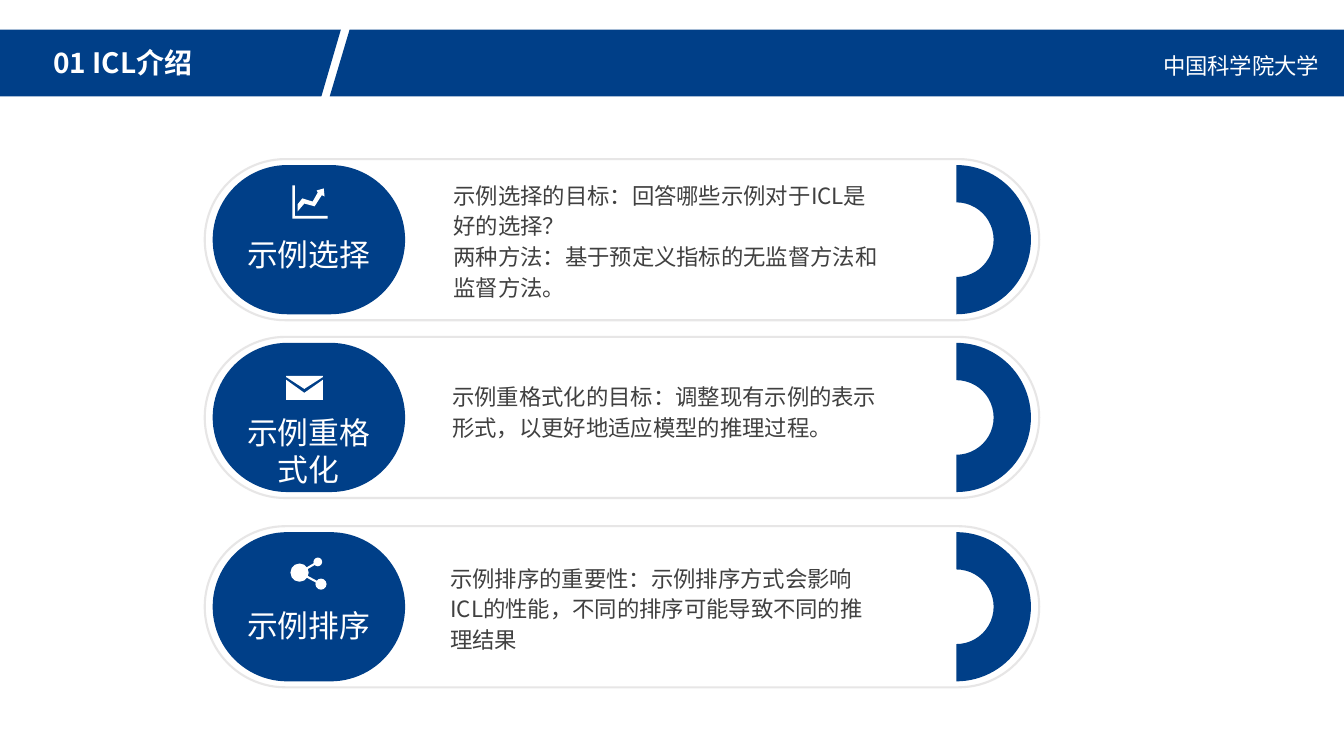
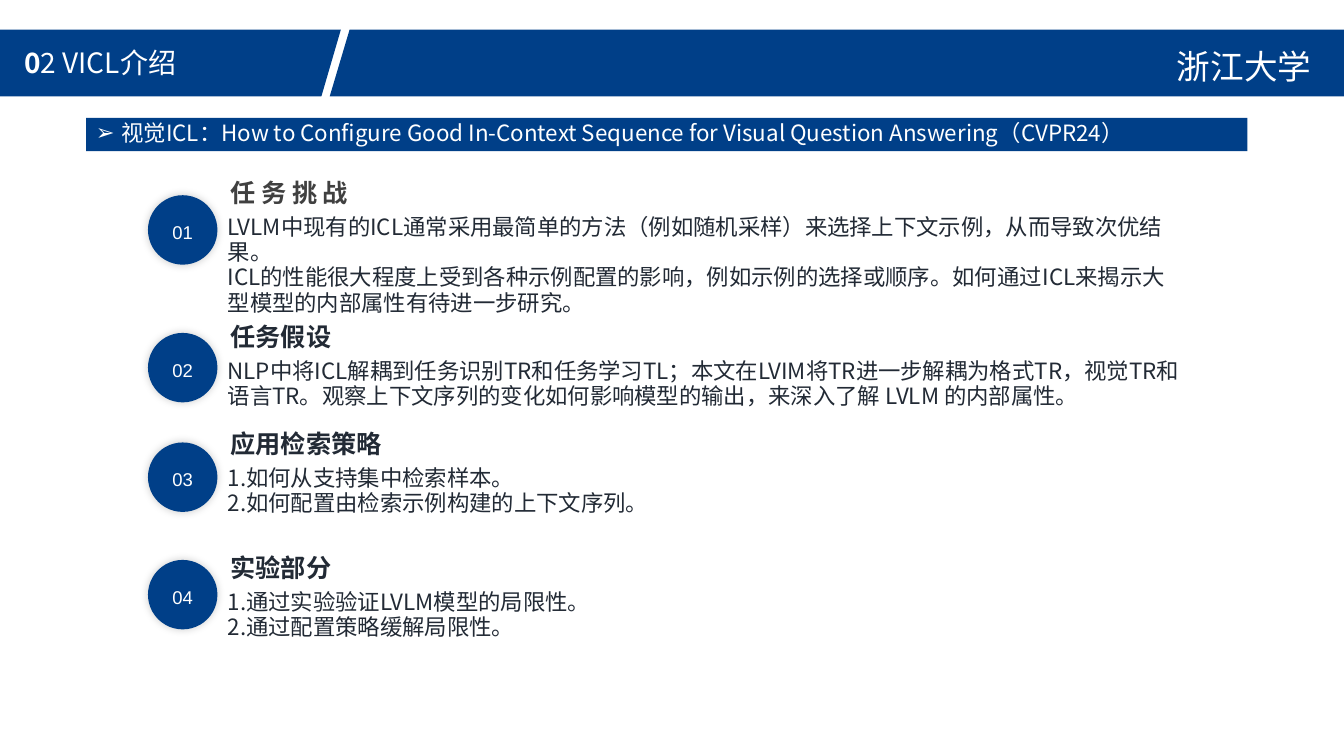
"""Builds two slides on in-context learning (ICL) and visual ICL."""
import lxml.etree
import pptx
import pptx.dml.color
import pptx.enum.shapes
import pptx.enum.text
import pptx.oxml.ns
import pptx.util

Cm = pptx.util.Cm
Pt = pptx.util.Pt
PRESET = pptx.enum.shapes.MSO_SHAPE
ANCHOR = pptx.enum.text.MSO_ANCHOR
CENTER = pptx.enum.text.PP_ALIGN.CENTER

COLORS = {"blue": "003F88", "white": "FFFFFF", "outline": "E7E6E6",
          "gray": "404040", "ink": "222A35", "shadow": "000000"}
FONT = "Noto Sans CJK SC"
SLIDE_WIDTH, SLIDE_HEIGHT = 33.87, 19.05
BAND_TOP, BAND_BOTTOM = 0.75, 2.43
UNITS_PER_CM = 100

CHART_ICON = [
    [(0, 0), (0.06, 0), (0.06, 0.77), (0.89, 0.77), (0.89, 0.84), (0, 0.84)],
    [(0.79, 0.08), (0.81, 0.28), (0.74, 0.25), (0.56, 0.53), (0.3, 0.46),
     (0.13, 0.66), (0.13, 0.48), (0.25, 0.33), (0.51, 0.41), (0.64, 0.18),
     (0.61, 0.13)],
]
ENVELOPE_ICON = [
    [(0, 0.1), (0.46, 0.43), (0.93, 0.1), (0.93, 0.61), (0, 0.61)],
    [(0, 0), (0.93, 0), (0.93, 0.03), (0.46, 0.33), (0, 0.03)],
]
SHARE_NODES = [(0.23, 0.38, 0.23), (0.69, 0.11, 0.11), (0.77, 0.67, 0.14)]

STEPS = [
    (6.04, "示例选择", 5.94, 11.43, 4.48,
     ["示例选择的目标：回答哪些示例对于ICL是好的选择？",
      "两种方法：基于预定义指标的无监督方法和监督方法。"]),
    (10.52, "示例重格式化", 10.43, 11.4, 9.56,
     ["示例重格式化的目标：调整现有示例的表示形式，以更好地适应模型的推理过程。"]),
    (15.29, "示例排序", 15.29, 11.35, 14.13,
     ["示例排序的重要性：示例排序方式会影响ICL的性能，不同的排序可能导致不同的推理结果"]),
]

SECTIONS = [
    (4.92, 4.34, "任务挑战", {"color": "gray", "spacing": 4}, 24.51,
     ["LVLM中现有的ICL通常采用最简单的方法（例如随机采样）来选择上下文示例，从而导致次优结果。",
      "ICL的性能很大程度上受到各种示例配置的影响，例如示例的选择或顺序。"
      "如何通过ICL来揭示大型模型的内部属性有待进一步研究。"]),
    (8.39, 7.97, "任务假设", {"color": "ink"}, 24.51,
     ["NLP中将ICL解耦到任务识别TR和任务学习TL；本文在LVIM将TR进一步解耦为格式TR，"
      "视觉TR和语言TR。观察上下文序列的变化如何影响模型的输出，来深入了解 LVLM 的内部属性。"]),
    (11.15, 10.67, "应用检索策略", {"color": "ink"}, 12.24,
     ["1.如何从支持集中检索样本。", "2.如何配置由检索示例构建的上下文序列。"]),
    (14.11, 13.79, "实验部分", {"color": "ink"}, 12.24,
     ["1.通过实验验证LVLM模型的局限性。", "2.通过配置策略缓解局限性。"]),
]


def rgb(color):
    return pptx.dml.color.RGBColor.from_string(COLORS[color])


def add_child(parent, tag, **attributes):
    child = lxml.etree.SubElement(parent, pptx.oxml.ns.qn(tag))
    for name, value in attributes.items():
        child.set(name, str(value))
    return child


def paint(shape, fill=None, outline=None):
    shape.shadow.inherit = False
    if fill:
        shape.fill.solid()
        shape.fill.fore_color.rgb = rgb(fill)
    else:
        shape.fill.background()
    if outline:
        shape.line.color.rgb = rgb(outline)
        shape.line.width = Pt(1.5)
    else:
        shape.line.fill.background()
    return shape


def add_preset(slide, preset, left, top, width, height, **colors):
    shape = slide.shapes.add_shape(preset, Cm(left), Cm(top), Cm(width), Cm(height))
    return paint(shape, **colors)


def add_outline(slide, contours, fill, left=0, top=0):
    moved = [[(round((left + x) * UNITS_PER_CM), round((top + y) * UNITS_PER_CM))
              for x, y in contour] for contour in contours]
    builder = slide.shapes.build_freeform(*moved[0][0], scale=Cm(1) / UNITS_PER_CM)
    for index, contour in enumerate(moved):
        if index:
            builder.move_to(*contour[0])
        builder.add_line_segments(contour[1:], close=True)
    return paint(builder.convert_to_shape(), fill=fill)


def add_run(paragraph, text, size, color, font=FONT, bold=False, spacing=0):
    run = paragraph.add_run()
    run.text = text
    run.font.size = Pt(size)
    run.font.name = font
    run.font.bold = bold
    run.font.color.rgb = rgb(color)
    properties = run._r.get_or_add_rPr()
    add_child(properties, "a:ea", typeface=font)
    if spacing:
        properties.set("spc", str(spacing * 100))


def remove_insets(frame):
    frame.margin_left = frame.margin_right = 0
    frame.margin_top = frame.margin_bottom = 0


def add_text(slide, left, top, width, height, paragraphs, line=None,
             align=None, inset=True):
    frame = slide.shapes.add_textbox(Cm(left), Cm(top), Cm(width), Cm(height)).text_frame
    frame.word_wrap = True
    if not inset:
        remove_insets(frame)
    for index, runs in enumerate(paragraphs):
        paragraph = frame.add_paragraph() if index else frame.paragraphs[0]
        paragraph.alignment = align
        if line:
            paragraph.line_spacing = Pt(line)
        for text, style in runs:
            add_run(paragraph, text, **style)


def add_header(slide, title_left, title_runs, school_box, school, school_style):
    add_outline(slide, [[(0, BAND_TOP), (8.59, BAND_TOP), (8.1, BAND_BOTTOM),
                         (0, BAND_BOTTOM)]], "blue")
    add_outline(slide, [[(8.81, BAND_TOP), (SLIDE_WIDTH, BAND_TOP),
                         (SLIDE_WIDTH, BAND_BOTTOM), (8.31, BAND_BOTTOM)]], "blue")
    runs = [(text, {"size": 20, "color": "white", "bold": bold})
            for text, bold in title_runs]
    add_text(slide, title_left, 1.02, 7.2, 1.12, [runs])
    add_text(slide, *school_box, [[(school, {"color": "white", **school_style})]])


def add_step(slide, middle, label, label_top, body_left, body_top, body):
    pill = add_preset(slide, PRESET.ROUNDED_RECTANGLE, 5.16, middle - 2.03,
                      21.03, 4.06, outline="outline")
    badge = add_preset(slide, PRESET.ROUNDED_RECTANGLE, 5.36, middle - 1.88,
                       4.85, 3.76, fill="blue")
    pill.adjustments[0] = badge.adjustments[0] = 0.5
    arc = add_preset(slide, PRESET.BLOCK_ARC, 22.22, middle - 1.88, 3.76, 3.76, fill="blue")
    arc.rotation = 90
    add_text(slide, 6.08, label_top, 3.4, 0.94,
             [[(label, {"size": 22, "color": "white"})]], align=CENTER, inset=False)
    add_text(slide, body_left, body_top, 10.8, 1.56 * len(body),
             [[(text, {"size": 16, "color": "gray"})] for text in body],
             line=22, inset=False)


def add_share_icon(slide, left, top):
    hub_x, hub_y, _ = SHARE_NODES[0]
    for x, y, radius in SHARE_NODES:
        add_preset(slide, PRESET.OVAL, left + x - radius, top + y - radius,
                   2 * radius, 2 * radius, fill="white")
    for x, y, _ in SHARE_NODES[1:]:
        link = slide.shapes.add_connector(
            pptx.enum.shapes.MSO_CONNECTOR.STRAIGHT, Cm(left + hub_x),
            Cm(top + hub_y), Cm(left + x), Cm(top + y))
        link.line.color.rgb = rgb("white")
        link.line.width = Pt(1.5)
        add_child(link._element.spPr, "a:effectLst")


def add_number(slide, top, number):
    disc = add_preset(slide, PRESET.OVAL, 3.73, top, 1.75, 1.75, fill="blue")
    effects = disc._element.spPr.find(pptx.oxml.ns.qn("a:effectLst"))
    shadow = add_child(effects, "a:outerShdw", blurRad=Pt(6), dist=0,
                       dir=315 * 60000, algn="ctr", rotWithShape=0)
    tint = add_child(shadow, "a:srgbClr", val=COLORS["shadow"])
    add_child(tint, "a:alpha", val=20000)
    frame = disc.text_frame
    remove_insets(frame)
    frame.vertical_anchor = ANCHOR.MIDDLE
    paragraph = frame.paragraphs[0]
    paragraph.alignment = CENTER
    paragraph.line_spacing = 1.2
    add_run(paragraph, f"{number:02d}", 13.2, "white", font="Arial")


def add_section(slide, number, disc_top, heading_top, heading, style, width, body):
    add_number(slide, disc_top, number)
    add_text(slide, 5.49, heading_top + 0.95, width, 1.52,
             [[(text, {"size": 16, "color": "ink"})] for text in body], line=18)
    add_text(slide, 5.56, heading_top, 5.08, 1.02,
             [[(heading, {"size": 18, "bold": True, **style})]])


def add_topic_strip(slide, topic):
    strip = add_preset(slide, PRESET.RECTANGLE, 2.17, 2.97, 29.27, 0.84, fill="blue")
    strip.text_frame.word_wrap = True
    strip.text_frame.vertical_anchor = ANCHOR.MIDDLE
    paragraph = strip.text_frame.paragraphs[0]
    paragraph.alignment = pptx.enum.text.PP_ALIGN.LEFT
    paragraph.line_spacing = 0.9
    properties = paragraph._p.get_or_add_pPr()
    properties.set("marL", str(Cm(0.64)))
    properties.set("indent", str(-Cm(0.64)))
    add_child(properties, "a:buFont", typeface="Arial")
    add_child(properties, "a:buChar", char="➢")
    add_run(paragraph, topic, 16, "white")


def build_icl(slide):
    add_header(slide, 1.09, [("01 ICL介绍", True)], (29.06, 1.19, 4.78, 0.94),
               "中国科学院大学", {"size": 16})
    for step in STEPS:
        add_step(slide, *step)
    add_outline(slide, CHART_ICON, "white", 7.37, 4.67)
    add_outline(slide, ENVELOPE_ICON, "white", 7.21, 9.47)
    add_share_icon(slide, 7.32, 14.05)


def build_vicl(slide):
    add_header(slide, 0.36, [("0", True), ("2 VICL介绍", False)],
               (29.41, 1.04, 4.4, 1.27), "浙江大学",
               {"size": 24, "font": "Noto Sans CJK JP"})
    for number, section in enumerate(SECTIONS, 1):
        add_section(slide, number, *section)
    add_topic_strip(slide, "视觉ICL：How to Configure Good In-Context Sequence "
                           "for Visual Question Answering（CVPR24）")


def main():
    deck = pptx.Presentation()
    deck.slide_width, deck.slide_height = Cm(SLIDE_WIDTH), Cm(SLIDE_HEIGHT)
    for build in (build_icl, build_vicl):
        build(deck.slides.add_slide(deck.slide_layouts[6]))
    deck.save("out.pptx")


if __name__ == "__main__":
    main()
